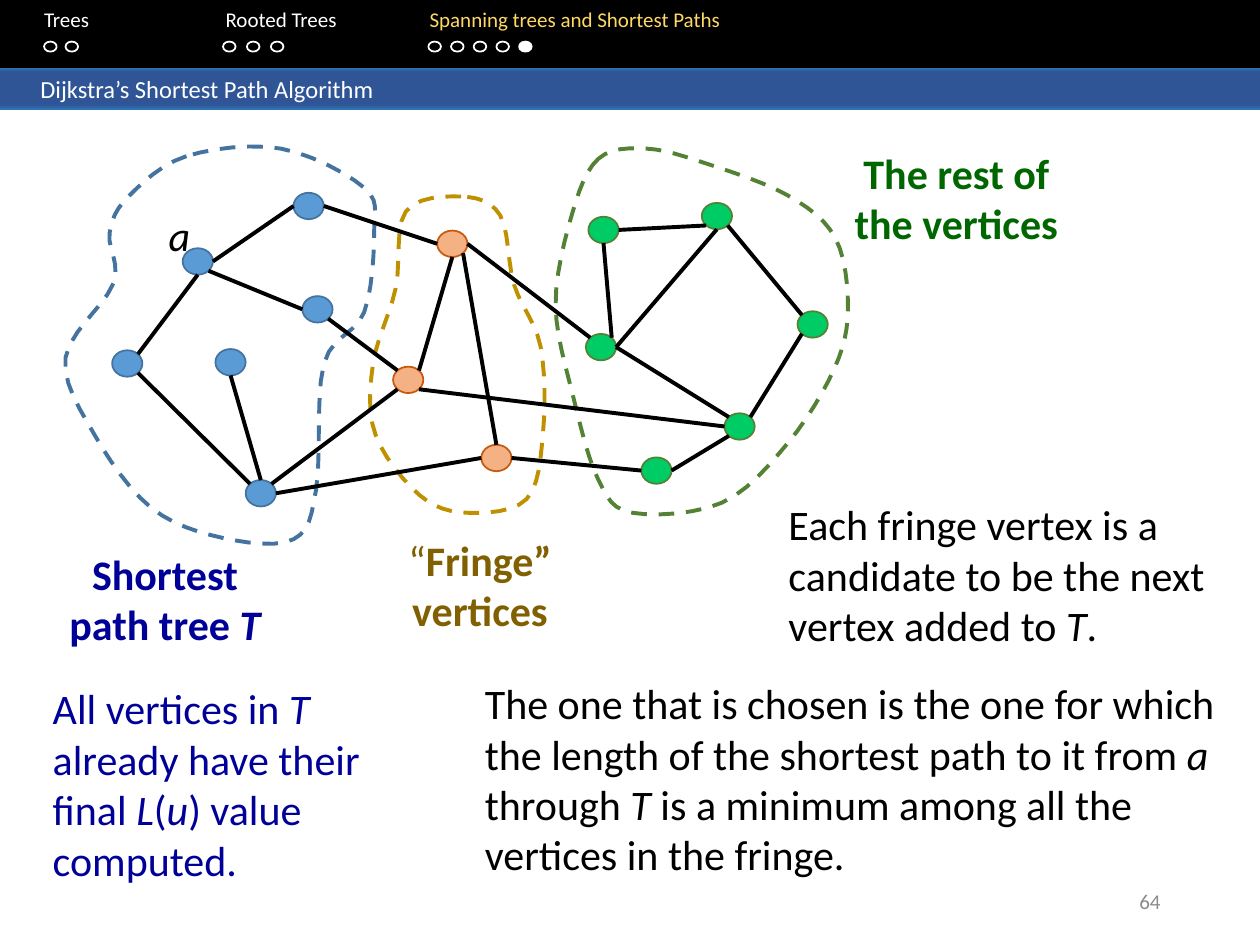
from lxml import etree
from pptx import Presentation
from pptx.dml.color import RGBColor
from pptx.enum.dml import MSO_LINE
from pptx.enum.shapes import MSO_CONNECTOR, MSO_SHAPE
from pptx.enum.text import MSO_ANCHOR, MSO_AUTO_SIZE, PP_ALIGN
from pptx.oxml.ns import qn
from pptx.util import Cm, Pt

LEFT, CENTER, RIGHT = PP_ALIGN.LEFT, PP_ALIGN.CENTER, PP_ALIGN.RIGHT
TOP, MIDDLE = MSO_ANCHOR.TOP, MSO_ANCHOR.MIDDLE
RECT, OVAL = MSO_SHAPE.RECTANGLE, MSO_SHAPE.OVAL
STRAIGHT, DASH = MSO_CONNECTOR.STRAIGHT, MSO_LINE.DASH
FONT = "Calibri"
ITALIC = {"italic": True}

COLORS = {
    "black": "000000", "white": "FFFFFF", "active": "FFD966", "gray": "8C8C8C",
    "bar": "2F5597", "bar_edge": "2E75B6",
    "tree": "5B9BD5", "tree_line": "43739E", "tree_outline": "43739E", "tree_text": "000099",
    "fringe": "F4B183", "fringe_line": "C55A11", "fringe_outline": "BF9000",
    "fringe_text": "806000",
    "rest": "00CC66", "rest_line": "548235", "rest_outline": "548235", "rest_text": "006600",
}

# Header sections: name, left of first dot, gap between dots, number of dots
SECTIONS = [("Trees", 0.35, 0.17, 2), ("Rooted Trees", 1.77, 0.19, 3),
            ("Spanning trees and Shortest Paths", 3.4, 0.18, 5)]
HEADER_LEFT = 0.35
SECTION_TABS = [1.79 - HEADER_LEFT, 3.41 - HEADER_LEFT]

# All layout lengths are inches; cm() turns them into Cm lengths.
# Each region: its vertices (left, top) and the anchors of its smooth outline
REGIONS = {
    "tree": {
        "vertices": {"a": (1.45, 1.97), "t1": (2.33, 1.53), "t2": (2.4, 2.35),
                     "t3": (0.89, 2.78), "t4": (1.71, 2.77), "t5": (1.95, 3.81)},
        "anchors": [(1.48, 1.24), (1.02, 1.56), (0.87, 1.85), (0.9, 2.25), (0.52, 2.84),
                    (0.75, 3.45), (1.2, 4.03), (1.77, 4.27), (2.33, 4.28), (2.51, 3.88),
                    (2.57, 2.89), (2.89, 2.48), (2.97, 1.83), (2.89, 1.49), (2.23, 1.18)],
    },
    "fringe": {
        "vertices": {"f1": (3.47, 1.83), "f2": (3.12, 2.91), "f3": (3.82, 3.53)},
        "anchors": [(3.66, 1.56), (3.22, 1.68), (3.14, 2.29), (2.96, 2.89), (2.98, 3.45),
                    (3.33, 3.93), (3.71, 4.07), (4.18, 3.96), (4.31, 3.43), (4.29, 2.75),
                    (4.08, 2.26), (3.97, 1.71)],
    },
    "rest": {
        "vertices": {"r1": (4.67, 1.72), "r2": (5.57, 1.61), "r3": (4.65, 2.65),
                     "r4": (6.33, 2.47), "r5": (5.75, 3.28), "r6": (5.09, 3.63)},
        "anchors": [(4.75, 1.26), (4.54, 1.7), (4.41, 2.42), (4.55, 3.15), (4.75, 3.81),
                    (5.02, 4.07), (5.73, 3.99), (6.25, 3.52), (6.62, 2.93), (6.73, 2.45),
                    (6.63, 1.89), (6.25, 1.55), (5.61, 1.3), (5.13, 1.18)],
    },
}
VERTEX_W, VERTEX_H = 0.24, 0.21

# Edges: vertex and the compass point of its ellipse, at both ends
EDGES = [
    ("t3", "NE", "a", "S"), ("t3", "SE", "t5", "NW"), ("t4", "S", "t5", "N"),
    ("a", "SE", "t2", "W"), ("a", "E", "t1", "W"),
    ("t5", "E", "f3", "W"), ("t5", "NE", "f2", "SW"), ("t1", "E", "f1", "W"),
    ("t2", "SE", "f2", "NW"), ("f2", "NE", "f1", "S"), ("f1", "SE", "f3", "N"),
    ("f3", "E", "r6", "W"), ("f1", "E", "r3", "NW"), ("f2", "SE", "r5", "W"),
    ("r3", "NE", "r1", "S"), ("r1", "E", "r2", "SW"), ("r3", "E", "r5", "NW"),
    ("r6", "E", "r5", "SW"), ("r3", "E", "r2", "S"), ("r4", "NW", "r2", "SE"),
    ("r4", "SW", "r5", "NE"),
]
COMPASS = {"N": (0, -1), "S": (0, 1), "E": (1, 0), "W": (-1, 0),
           "NE": (0.71, -0.71), "NW": (-0.71, -0.71),
           "SE": (0.71, 0.71), "SW": (-0.71, 0.71)}


def cm(*inches):
    return [Cm(v * 2.54) for v in inches]


def color(name):
    return RGBColor.from_string(COLORS[name])


def write_text(tf, text, size=24, fill="black", bold=False, align=LEFT,
               anchor=TOP, left=0.1, tabs=()):
    """Write one paragraph: plain strings, or (string, font overrides) pairs."""
    tf.word_wrap, tf.auto_size = True, MSO_AUTO_SIZE.NONE
    tf.vertical_anchor = anchor
    tf.margin_left, tf.margin_right, tf.margin_top, tf.margin_bottom = cm(left, 0.1, 0.05, 0.05)
    p = tf.paragraphs[0]
    p.alignment = align
    if tabs:
        tab_list = etree.SubElement(p._p.get_or_add_pPr(), qn("a:tabLst"))
        for pos in cm(*tabs):
            etree.SubElement(tab_list, qn("a:tab"), pos=str(pos), algn="l")
    for part in [text] if isinstance(text, str) else text:
        words, fmt = (part, {}) if isinstance(part, str) else part
        r = p.add_run()
        r.text = words
        r.font.name, r.font.size = FONT, Pt(size)
        r.font.bold = fmt.get("bold", bold)
        r.font.italic = fmt.get("italic", False)
        r.font.color.rgb = color(fmt.get("fill", fill))


def add_text(s, box, text, **fmt):
    write_text(s.shapes.add_textbox(*cm(*box)).text_frame, text, **fmt)


def style_shape(sp, fill, line, width=1):
    sp.shadow.inherit = False
    if fill:
        sp.fill.solid()
        sp.fill.fore_color.rgb = color(fill)
    else:
        sp.fill.background()
    if line:
        sp.line.color.rgb = color(line)
        sp.line.width = Pt(width)
    else:
        sp.line.fill.background()


def add_shape(s, kind, box, fill=None, line=None):
    style_shape(s.shapes.add_shape(kind, *cm(*box)), fill, line)


def smooth_loop(anchors, steps=6):
    """Points on a closed Catmull-Rom curve through the anchors."""
    points, count = [], len(anchors)
    for i in range(count):
        neighbours = [anchors[(i + k) % count] for k in (-1, 0, 1, 2)]
        for t in (step / steps for step in range(steps)):
            points.append(tuple(
                b + (c - a) * t / 2 + (2 * a - 5 * b + 4 * c - d) * t ** 2 / 2
                + (3 * b - a - 3 * c + d) * t ** 3 / 2
                for a, b, c, d in zip(*neighbours)))
    return points


def add_outline(s, anchors, line):
    points = [cm(*point) for point in smooth_loop(anchors)]
    fb = s.shapes.build_freeform(*points[0])
    fb.add_line_segments(points[1:], close=True)
    sp = fb.convert_to_shape()
    style_shape(sp, None, line, 2.25)
    sp.line.dash_style = DASH


def add_edge(s, start, end):
    c = s.shapes.add_connector(STRAIGHT, *cm(*start, *end))
    c.line.color.rgb = color("black")
    c.line.width = Pt(2.25)
    etree.SubElement(c._element.spPr, qn("a:effectLst"))


def add_title(s, text):
    sp = s.shapes.title
    sp.left, sp.top, sp.width, sp.height = cm(0, 0.54, 10, 0.33)
    sp.fill.gradient()
    sp.fill.gradient_angle = 90
    stops = sp._element.spPr.find(qn("a:gradFill")).find(qn("a:gsLst"))
    for stop in list(stops):
        stops.remove(stop)
    for pos, name in ((0, "bar_edge"), (11, "bar"), (91, "bar"), (100, "bar_edge")):
        stop = etree.SubElement(stops, qn("a:gs"), pos=str(pos * 1000))
        etree.SubElement(stop, qn("a:srgbClr"), val=COLORS[name])
    write_text(sp.text_frame, text, size=14, fill="white", anchor=MIDDLE, left=0.32)


def add_header(s):
    add_shape(s, RECT, (0, -0.02, 10, 0.56), "black")
    *earlier, current = [name for name, *_ in SECTIONS]
    add_text(s, (0, 0, 10, 0.5),
             [name + "\t" for name in earlier] + [(current, {"fill": "active"})],
             size=12, fill="white", left=HEADER_LEFT, tabs=SECTION_TABS)
    # One dot per slide; the last dot of the current section is filled
    for name, left, gap, count in SECTIONS:
        for i in range(count):
            here = name == current and i == count - 1
            add_shape(s, OVAL, (left + i * gap, 0.33, 0.1, 0.08),
                      "white" if here else None, "white")


def add_graph(s):
    places = {}
    for name, region in REGIONS.items():
        add_outline(s, region["anchors"], name + "_outline")
        places.update(region["vertices"])
        for x, y in region["vertices"].values():
            add_shape(s, OVAL, (x, y, VERTEX_W, VERTEX_H), name, name + "_line")

    def port(vertex, side):
        (x, y), (dx, dy) = places[vertex], COMPASS[side]
        return x + VERTEX_W / 2 * (1 + dx), y + VERTEX_H / 2 * (1 + dy)

    for start, start_side, end, end_side in EDGES:
        add_edge(s, port(start, start_side), port(end, end_side))
    add_text(s, (1.24, 1.61, 0.36, 0.46), [("a", ITALIC)], align=CENTER)


def add_region_labels(s):
    labels = [
        ("tree", (0.33, 4.3, 1.96, 0.91), ["Shortest path tree ", ("T", ITALIC)]),
        ("fringe", (2.83, 4.19, 1.96, 0.91), [("“", {"bold": False}), "Fringe” vertices"]),
        ("rest", (6.57, 1.12, 2.04, 0.91), "The rest of the vertices"),
    ]
    for name, box, text in labels:
        add_text(s, box, text, fill=name + "_text", bold=True, align=CENTER)


def add_explanations(s):
    add_text(s, (6.16, 3.91, 3.67, 1.31),
             ["Each fringe vertex is a candidate to be the next vertex added to ", ("T", ITALIC), "."])
    add_text(s, (3.75, 5.33, 6.2, 1.72),
             ["The one that is chosen is the one for which the length of the shortest path to it from ",
              ("a ", ITALIC), "through ", ("T ", ITALIC),
              "is a minimum among all the vertices in the fringe."])
    add_text(s, (0.32, 5.37, 2.71, 1.72),
             ["All vertices in ", ("T", ITALIC), " already have their final ", ("L", ITALIC), "(",
              ("u", ITALIC), ") value computed."], fill="tree_text")


def main():
    prs = Presentation()
    prs.slide_width, prs.slide_height = cm(10, 7.5)
    s = prs.slides.add_slide(prs.slide_layouts[5])
    add_header(s)
    add_title(s, "Dijkstra’s Shortest Path Algorithm")
    add_graph(s)
    add_region_labels(s)
    add_explanations(s)
    # Page number
    add_text(s, (7.06, 6.95, 2.25, 0.4), "64", size=12, fill="gray", align=RIGHT, anchor=MIDDLE)
    prs.save("out.pptx")


if __name__ == "__main__":
    main()
